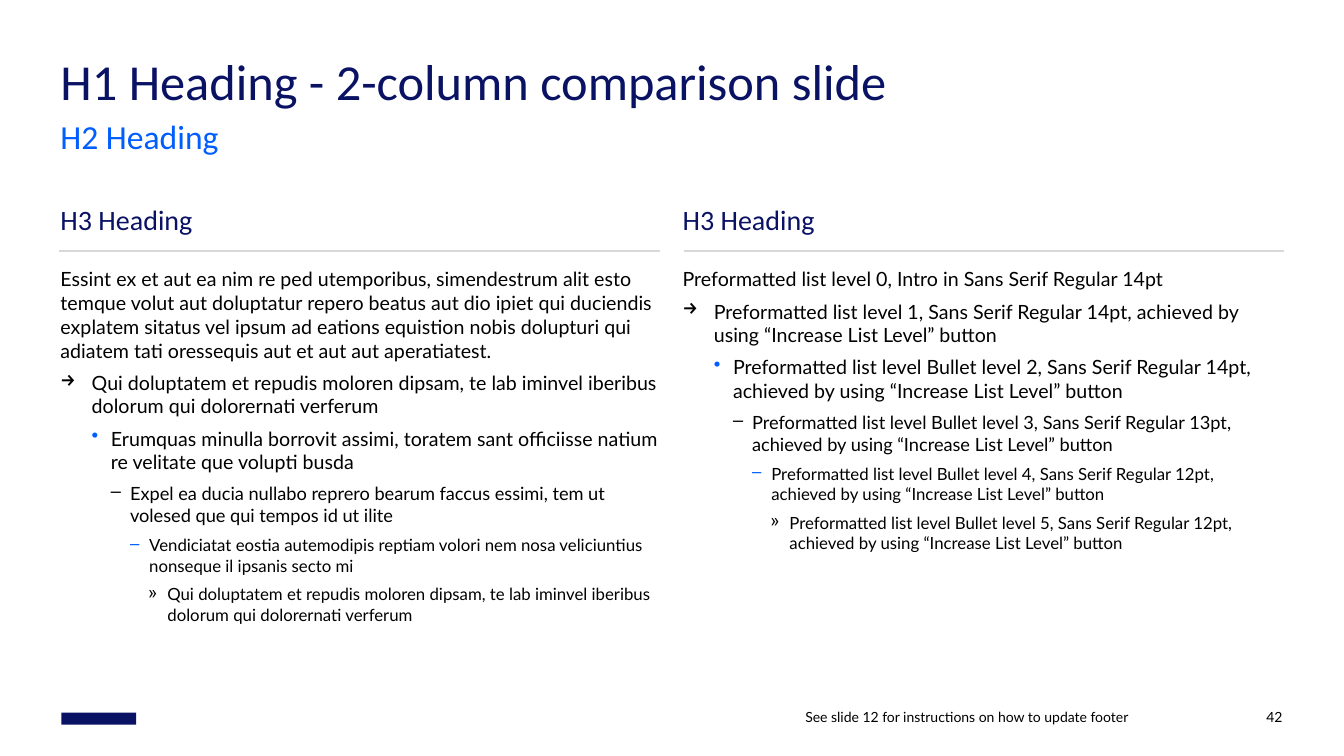
from dataclasses import dataclass

from lxml.etree import SubElement
from pptx import Presentation
from pptx.dml.color import RGBColor
from pptx.enum.shapes import MSO_CONNECTOR, MSO_SHAPE
from pptx.enum.text import MSO_ANCHOR, PP_ALIGN
from pptx.oxml.ns import qn
from pptx.slide import Slide
from pptx.util import Inches, Length, Pt

NAVY = RGBColor(0x0A, 0x12, 0x64)
BLUE = RGBColor(0x00, 0x5E, 0xFF)
BLACK = RGBColor(0x00, 0x00, 0x00)
GREY = RGBColor(0xD7, 0xD8, 0xD7)

MARGIN = 0.6
COLUMN_WIDTH = 5.95
FULL_WIDTH = 12.13


@dataclass(frozen=True)
class Style:
    size: int
    font: str = "Lato"
    color: RGBColor = BLACK
    line_spacing: float | Length = 1.0
    space_after: int = 0
    align: PP_ALIGN = PP_ALIGN.LEFT
    bullet: str = ""
    bullet_color: RGBColor = BLACK
    indent: float = 0
    hanging: float = 0


@dataclass(frozen=True)
class Column:
    left: float
    rule_left: float
    heading: str
    items: list[str]


def list_style(size: int, bullet: str = "", color: RGBColor = BLACK,
               indent: float = 0, hanging: float = 0.19) -> Style:
    return Style(size, line_spacing=1.01, space_after=6, bullet=bullet,
                 bullet_color=color, indent=indent, hanging=hanging)


H1 = Style(36, "Calibri", NAVY, Pt(36))
H2 = Style(24, "Calibri", BLUE, 0.8)
H3 = Style(20, "Calibri", NAVY, 1.01, 6)
FOOTER = Style(10, align=PP_ALIGN.RIGHT)
LEVELS = [
    list_style(14, hanging=0),
    list_style(14, "→", indent=0.31, hanging=0.31),
    list_style(14, "•", BLUE, 0.5),
    list_style(13, "–", indent=0.69),
    list_style(12, "–", BLUE, 0.88),
    list_style(12, "»", indent=1.06),
]

LIST_SIZES = [14, 14, 13, 12, 12]
COLUMNS = [
    Column(MARGIN, 0.59, "H3 Heading", [
        "Essint ex et aut ea nim re ped utemporibus, simendestrum alit esto temque volut aut "
        "doluptatur repero beatus aut dio ipiet qui duciendis explatem sitatus vel ipsum ad "
        "eations equistion nobis dolupturi qui adiatem tati oressequis aut et aut aut "
        "aperatiatest.",
        "Qui doluptatem et repudis moloren dipsam, te lab iminvel iberibus dolorum qui "
        "dolorernati verferum",
        "Erumquas minulla borrovit assimi, toratem sant officiisse natium re velitate que "
        "volupti busda",
        "Expel ea ducia nullabo reprero bearum faccus essimi, tem ut volesed que qui tempos "
        "id ut ilite",
        "Vendiciatat eostia autemodipis reptiam volori nem nosa veliciuntius nonseque il "
        "ipsanis secto mi",
        "Qui doluptatem et repudis moloren dipsam, te lab iminvel iberibus dolorum qui "
        "dolorernati verferum",
    ]),
    Column(6.77, 6.78, "H3 Heading", [
        "Preformatted list level 0, Intro in Sans Serif Regular 14pt",
        *(f"Preformatted list level {'Bullet level ' if level > 1 else ''}{level}, "
          f"Sans Serif Regular {size}pt, achieved by using “Increase List Level” button"
          for level, size in enumerate(LIST_SIZES, 1)),
    ]),
]


def add_text(page: Slide, left: float, top: float, width: float, height: float,
             lines: list[tuple[str, Style]], anchor: MSO_ANCHOR = MSO_ANCHOR.TOP) -> None:
    box = page.shapes.add_textbox(Inches(left), Inches(top), Inches(width), Inches(height))
    frame = box.text_frame
    frame.word_wrap = True
    frame.vertical_anchor = anchor
    frame.margin_left = frame.margin_right = frame.margin_top = frame.margin_bottom = 0
    for index, (text, style) in enumerate(lines):
        para = frame.add_paragraph() if index else frame.paragraphs[0]
        para.text = text
        para.alignment = style.align
        para.line_spacing = style.line_spacing
        para.space_after = Pt(style.space_after)
        if style.bullet:
            properties = para._p.get_or_add_pPr()
            properties.set("marL", str(Inches(style.indent)))
            properties.set("indent", str(-Inches(style.hanging)))
            bullet_color = SubElement(properties, qn("a:buClr"))
            SubElement(bullet_color, qn("a:srgbClr"), val=str(style.bullet_color))
            SubElement(properties, qn("a:buChar"), char=style.bullet)
        para.font.size = Pt(style.size)
        para.font.name = style.font
        para.font.color.rgb = style.color


def add_rule(page: Slide, left: float, top: float, width: float) -> None:
    rule = page.shapes.add_connector(MSO_CONNECTOR.STRAIGHT, Inches(left), Inches(top),
                                     Inches(left + width), Inches(top))
    rule.line.color.rgb = GREY
    rule.line.width = Pt(1)
    SubElement(rule._element.spPr, qn("a:effectLst"))


def add_brand_block(page: Slide) -> None:
    block = page.shapes.add_shape(MSO_SHAPE.RECTANGLE, Inches(0.61), Inches(7.07),
                                  Inches(0.74), Inches(0.12))
    block.shadow.inherit = False
    block.fill.solid()
    block.fill.fore_color.rgb = NAVY
    block.line.fill.background()


def add_column(page: Slide, column: Column) -> None:
    add_text(page, column.left, 2.65, COLUMN_WIDTH, 3.76, list(zip(column.items, LEVELS)))
    add_text(page, column.left, 2.02, COLUMN_WIDTH, 0.32, [(column.heading, H3)],
             MSO_ANCHOR.BOTTOM)
    add_rule(page, column.rule_left, 2.49, 5.96)


def main() -> None:
    deck = Presentation()
    deck.slide_width = Inches(13.33)
    deck.slide_height = Inches(7.5)
    page = deck.slides.add_slide(deck.slide_layouts[6])

    add_brand_block(page)
    add_text(page, 5.23, 6.9, 5.96, 0.3,
             [("See slide 12 for instructions on how to update footer", FOOTER)],
             MSO_ANCHOR.BOTTOM)
    add_text(page, 11.4, 6.9, 1.32, 0.3, [("42", FOOTER)], MSO_ANCHOR.BOTTOM)
    add_text(page, MARGIN, 0.6, FULL_WIDTH, 0.48,
             [("H1 Heading - 2-column comparison slide", H1)])
    add_text(page, MARGIN, 1.23, FULL_WIDTH, 0.32, [("H2 Heading", H2)])
    for column in COLUMNS:
        add_column(page, column)

    deck.save("out.pptx")


if __name__ == "__main__":
    main()
